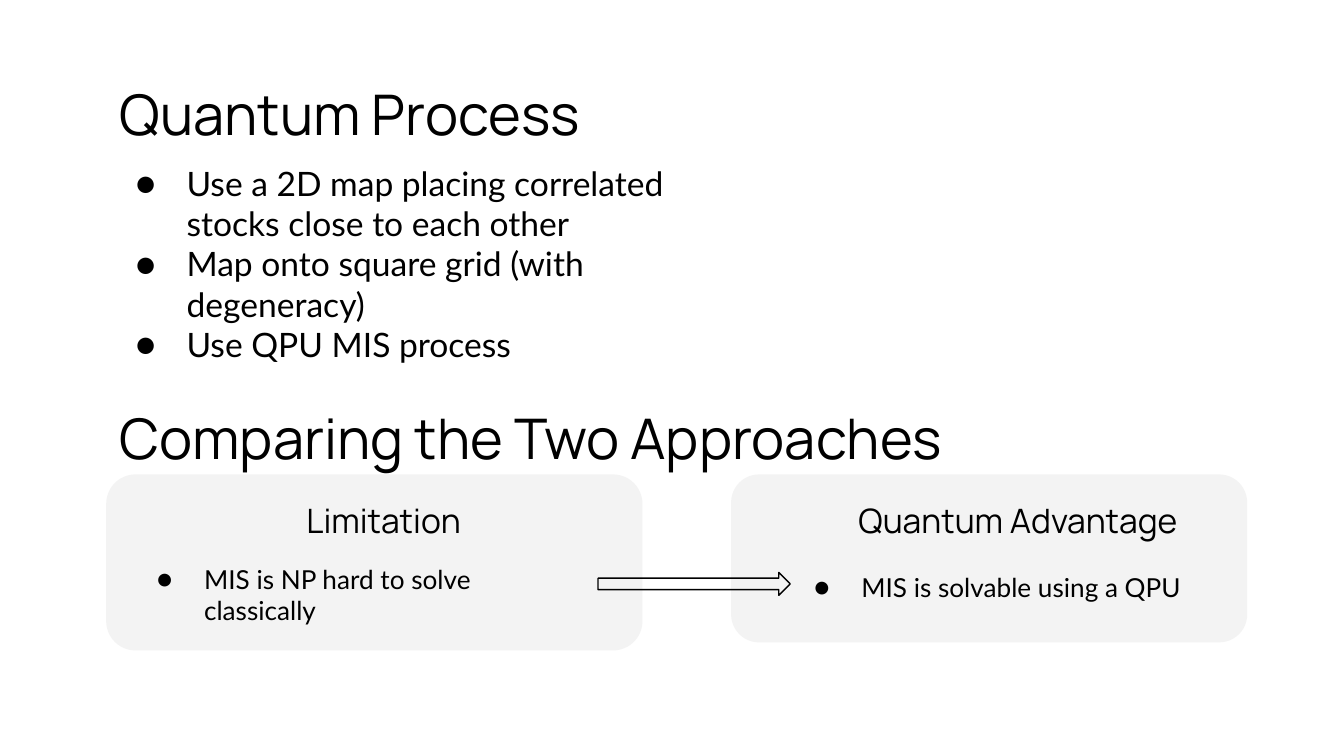
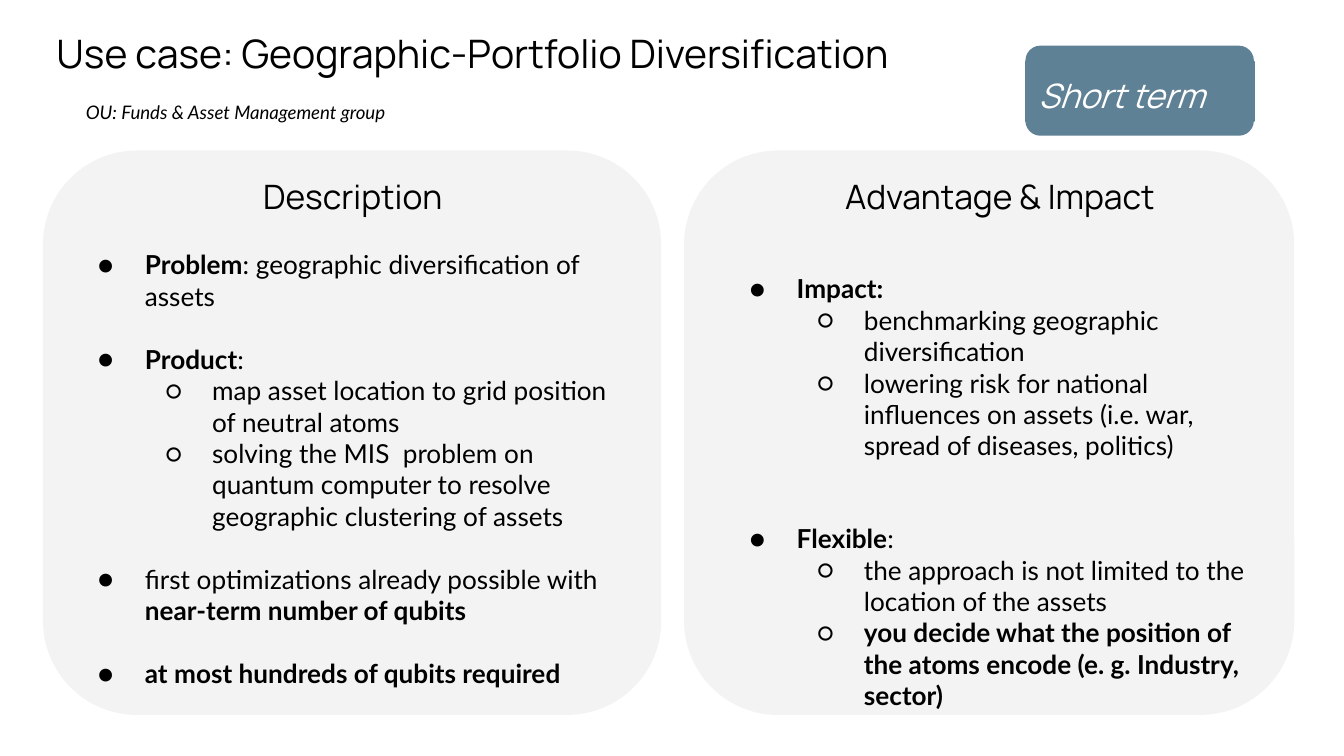
import dataclasses

import lxml.etree
import pptx
import pptx.dml.color
import pptx.enum.shapes
import pptx.enum.text
import pptx.oxml.ns
import pptx.util


@dataclasses.dataclass(frozen=True)
class Theme:
    ink: str = "000000"
    card: str = "F3F3F3"
    badge: str = "5F8195"
    badge_ink: str = "FFFFFF"
    heading_font: str = "Manrope"
    body_font: str = "Lato"
    title_size: int = 30
    long_title_size: int = 21
    heading_size: int = 18
    lead_size: int = 18
    body_size: int = 14
    note_size: int = 10


theme = Theme()
color = pptx.dml.color.RGBColor.from_string
Align = pptx.enum.text.PP_ALIGN
Anchor = pptx.enum.text.MSO_ANCHOR
Shape = pptx.enum.shapes.MSO_SHAPE
PX = 9144  # 100 px to the inch
INSET = 10 * PX
GAP = 17  # one body line, in points


def place_text(shape, box, lines, size, font, ink=theme.ink, align=Align.LEFT,
               anchor=Anchor.TOP, italic=False):
    """Place a shape and write its lines; parts between ** are bold."""
    shape.left, shape.top, shape.width, shape.height = [n * PX for n in box]
    frame = shape.text_frame
    frame.word_wrap = True
    frame.auto_size = pptx.enum.text.MSO_AUTO_SIZE.NONE
    frame.vertical_anchor = anchor
    frame.margin_left = frame.margin_right = INSET
    frame.margin_top = frame.margin_bottom = INSET
    frame.text = "\n".join(line.replace("**", "") for line in lines)
    for paragraph, line in zip(frame.paragraphs, lines):
        paragraph.alignment = align
        if "**" in line:
            paragraph.clear()
            for index, part in enumerate(line.split("**")):
                if part:
                    run = paragraph.add_run()
                    run.text = part
                    run.font.bold = index % 2 == 1
        for run in paragraph.runs:
            run.font.size = pptx.util.Pt(size)
            run.font.name = font
            run.font.color.rgb = color(ink)
            run.font.italic = italic


def add_bullets(slide, box, items, size, hanging):
    """Add a list of (level, points of space before, text)."""
    shape = slide.shapes.add_textbox(0, 0, 0, 0)
    place_text(shape, box, [text for _, _, text in items], size, theme.body_font)
    for paragraph, (level, space, _) in zip(shape.text_frame.paragraphs, items):
        paragraph.level = level
        paragraph.space_before = pptx.util.Pt(space)
        properties = paragraph._p.get_or_add_pPr()
        properties.set("marL", str(50 * (level + 1) * PX))
        properties.set("indent", str(-hanging * PX))
        bullet_font = lxml.etree.SubElement(properties, pptx.oxml.ns.qn("a:buFont"))
        bullet_font.set("typeface", theme.body_font)
        bullet = lxml.etree.SubElement(properties, pptx.oxml.ns.qn("a:buChar"))
        bullet.set("char", "●○"[level])


presentation = pptx.Presentation()
presentation.slide_width = 1000 * PX
presentation.slide_height = presentation.slide_width * 9 // 16
title_only = presentation.slide_layouts[5]
process_slide = presentation.slides.add_slide(title_only)
use_case_slide = presentation.slides.add_slide(title_only)

# Titles
place_text(process_slide.shapes.title, (79, 49, 843, 63), ["Quantum Process"],
           theme.title_size, theme.heading_font)
place_text(process_slide.shapes.add_textbox(0, 0, 0, 0), (79, 290, 843, 63),
           ["Comparing the Two Approaches"], theme.title_size, theme.heading_font)
place_text(use_case_slide.shapes.title, (32, 12, 721, 58),
           ["Use case: Geographic-Portfolio Diversification"],
           theme.long_title_size, theme.heading_font)

# Process steps
add_bullets(process_slide, (79, 111, 435, 166), [
    (0, 0, "Use a 2D map placing correlated stocks close to each other"),
    (0, 0, "Map onto square grid (with degeneracy)"),
    (0, 0, "Use QPU MIS process"),
], theme.lead_size, 38)

# Cards: slide, card box, heading and its box, list box and items
cards = [
    (process_slide, (79, 353, 399, 131), "Limitation", (109, 365, 353, 44),
     (92, 409, 353, 80), [(0, 0, "MIS is NP hard to solve classically")]),
    (process_slide, (544, 353, 384, 125), "Quantum Advantage", (581, 365, 353, 44),
     (581, 415, 325, 178), [(0, 0, "MIS is solvable using a QPU")]),
    (use_case_slide, (32, 112, 460, 420), "Description", (66, 124, 393, 44),
     (48, 175, 429, 312), [
         (0, 0, "**Problem**: geographic diversification of assets"),
         (0, GAP, "**Product**:"),
         (1, 0, "map asset location to grid position of neutral atoms"),
         (1, 0, "solving the MIS  problem on quantum computer to resolve "
                "geographic clustering of assets"),
         (0, GAP, "first optimizations already possible with "
                  "**near-term number of qubits**"),
         (0, GAP, "**at most hundreds of qubits required**"),
     ]),
    (use_case_slide, (509, 112, 454, 420), "Advantage & Impact", (550, 124, 388, 44),
     (533, 193, 423, 286), [
         (0, 0, "**Impact:**"),
         (1, 0, "benchmarking geographic diversification"),
         (1, 0, "lowering risk for national influences on assets "
                "(i.e. war, spread of diseases, politics)"),
         (0, 2 * GAP - 1, "**Flexible**:"),
         (1, 0, "the approach is not limited to the location of the assets"),
         (1, 0, "**you decide what the position of the atoms encode "
                "(e. g. Industry, sector)**"),
     ]),
]
for slide, card_box, heading, heading_box, list_box, items in cards:
    card = slide.shapes.add_shape(Shape.ROUNDED_RECTANGLE, *[n * PX for n in card_box])
    card.shadow.inherit = False
    card.fill.solid()
    card.fill.fore_color.rgb = color(theme.card)
    card.line.fill.background()
    place_text(slide.shapes.add_textbox(0, 0, 0, 0), heading_box, [heading],
               theme.heading_size, theme.heading_font,
               align=Align.CENTER, anchor=Anchor.MIDDLE)
    add_bullets(slide, list_box, items, theme.body_size, 35)

# Arrow from limitation to advantage
arrow = process_slide.shapes.add_shape(
    Shape.RIGHT_ARROW, 445 * PX, 426 * PX, 143 * PX, 17 * PX)
arrow.shadow.inherit = False
arrow.fill.background()
arrow.line.color.rgb = color(theme.ink)
arrow.line.width = pptx.util.Pt(0.75)

# Time frame badge and its label
badge = use_case_slide.shapes.add_shape(
    Shape.ROUNDED_RECTANGLE, 763 * PX, 34 * PX, 170 * PX, 67 * PX)
badge.shadow.inherit = False
badge.fill.solid()
badge.fill.fore_color.rgb = color(theme.badge)
badge.line.fill.background()
badge_label = use_case_slide.shapes.add_textbox(0, 0, 0, 0)
badge_label.line.color.rgb = color(theme.badge)
badge_label.line.width = pptx.util.Pt(0.75)
place_text(badge_label, (763, 46, 170, 44), ["Short term"], theme.heading_size,
           theme.heading_font, ink=theme.badge_ink, italic=True)

# Owning unit
place_text(use_case_slide.shapes.add_textbox(0, 0, 0, 0), (54, 65, 655, 29),
           ["OU: Funds & Asset Management group"], theme.note_size,
           theme.body_font, italic=True)

presentation.save("out.pptx")
